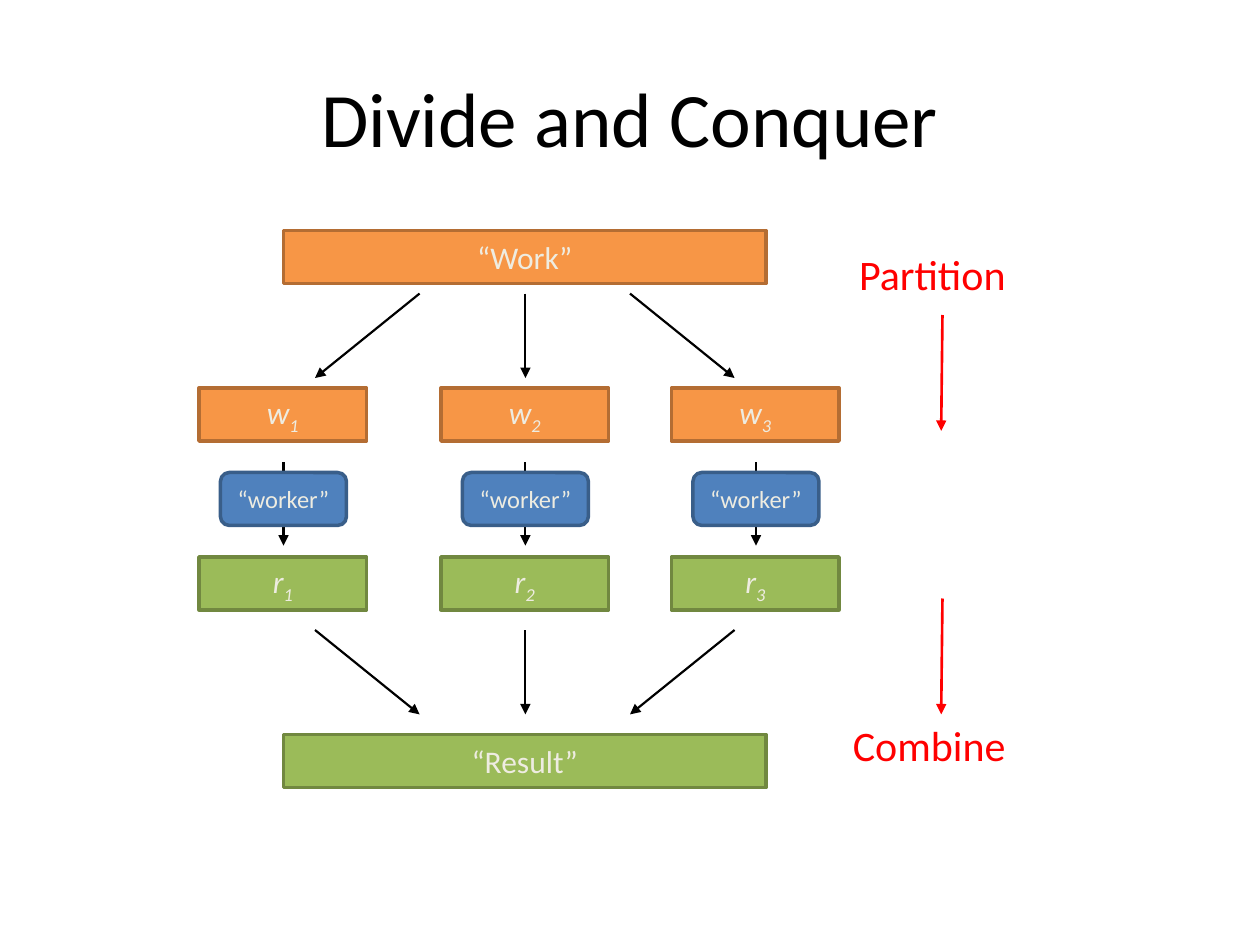
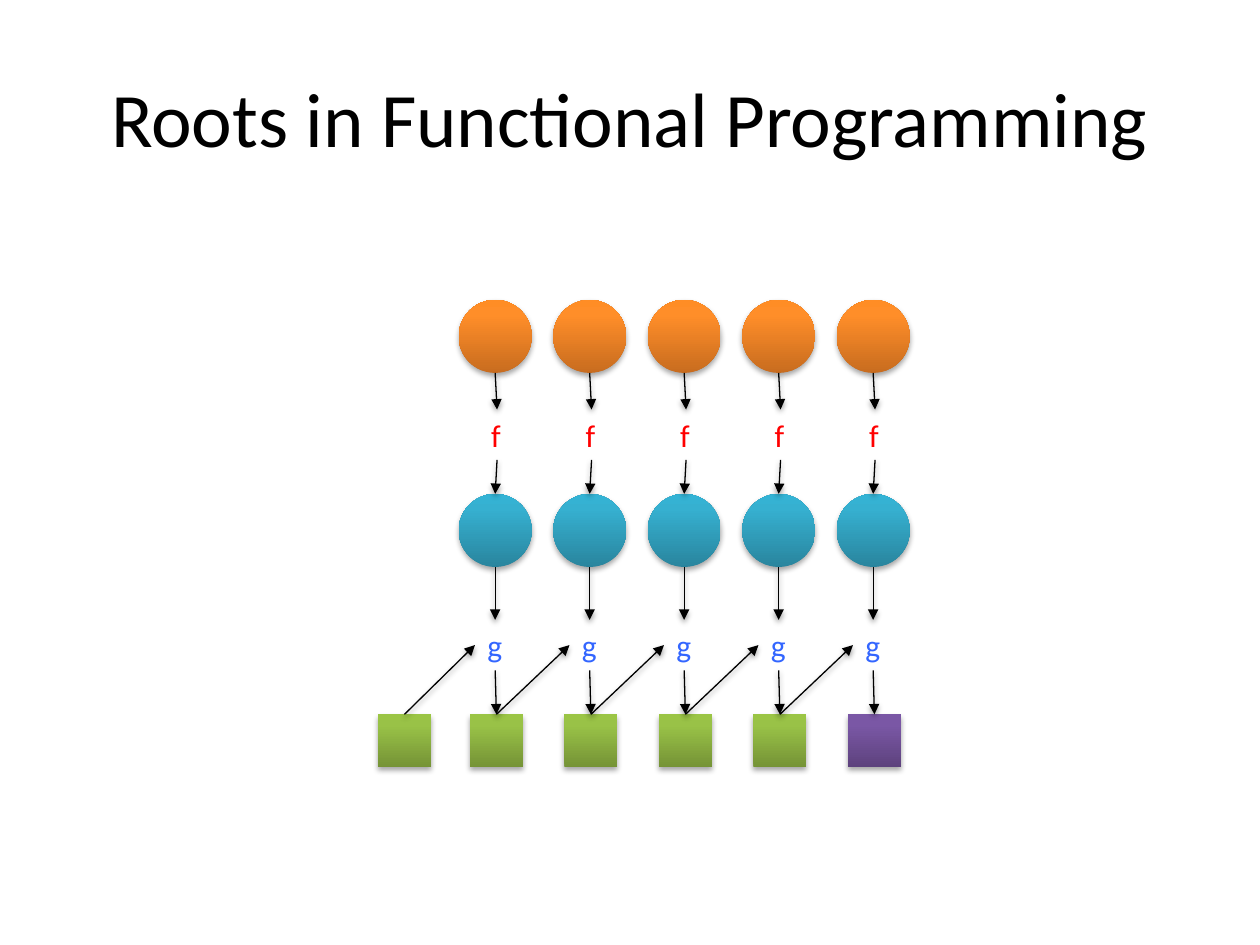
"""Build two slides on divide and conquer and its roots in functional programming."""
from lxml import etree
from pptx import Presentation
from pptx.dml.color import RGBColor
from pptx.enum.shapes import MSO_CONNECTOR, MSO_SHAPE
from pptx.enum.text import MSO_ANCHOR, PP_ALIGN
from pptx.oxml import parse_xml
from pptx.oxml.ns import nsdecls, qn
from pptx.util import Inches, Pt

RECT, ROUND, OVAL = MSO_SHAPE.RECTANGLE, MSO_SHAPE.ROUNDED_RECTANGLE, MSO_SHAPE.OVAL
STRAIGHT = MSO_CONNECTOR.STRAIGHT
MID, TOP = MSO_ANCHOR.MIDDLE, MSO_ANCHOR.TOP
LEFT, CENTER = PP_ALIGN.LEFT, PP_ALIGN.CENTER
NORTH, WEST, SOUTH = 0, 1, 2


class Theme:
    font = "Calibri"
    black, cream, red, blue = "000000", "EEECE1", "FF0000", "3366FF"
    work = ("F79646", "B46D33")
    result = ("9BBB59", "718840")
    worker = ("4F81BD", "395E89")
    orange = ("C86C1F", "FF8E29", "FF8D25")
    teal = ("29859E", "36B0D0", "33B3D5")
    green = ("759336", "99C247", "9BC545")
    purple = ("5D427D", "7A57A5", "7A56A7")
    stops = (0, 80000, 100000)
    title, label, body, small = 44, 24, 18, 14
    border, bold, thin, hair = 2, 1.5, 1.25, 0.75
    shade = ('<a:effectLst %s><a:outerShdw blurRad="40000" dist="%d" dir="5400000" '
             'rotWithShape="0"><a:srgbClr val="000000"><a:alpha val="%d"/>'
             '</a:srgbClr></a:outerShdw></a:effectLst>')


def put(slide, box, text="", kind=None, paint=None, size=Theme.body, color=Theme.cream,
        align=CENTER, anchor=MID, sub="", italic=False):
    area = [Inches(n) for n in box]
    if kind is None:
        shape = slide.shapes.add_textbox(*area)
    else:
        shape = slide.shapes.add_shape(kind, *area)
        shape.shadow.inherit = False
        props = shape._element.spPr
        if len(paint) == 2:
            shape.fill.solid()
            shape.fill.fore_color.rgb = RGBColor.from_string(paint[0])
            shape.line.color.rgb = RGBColor.from_string(paint[1])
            shape.line.width = Pt(Theme.border)
        else:
            shape.line.fill.background()
            stops = "".join(f'<a:gs pos="{pos}"><a:srgbClr val="{tint}"/></a:gs>'
                            for pos, tint in zip(Theme.stops, paint))
            props.find(qn("a:prstGeom")).addnext(parse_xml(
                f'<a:gradFill {nsdecls("a")} rotWithShape="1"><a:gsLst>{stops}</a:gsLst>'
                '<a:lin ang="16200000" scaled="0"/></a:gradFill>'))
            props.replace(props.find(qn("a:effectLst")),
                          parse_xml(Theme.shade % (nsdecls("a"), 23000, 35000)))
    frame = shape.text_frame
    frame.word_wrap = True
    frame.vertical_anchor = anchor
    para = frame.paragraphs[0]
    para.alignment = align
    for part in filter(None, (text, sub)):
        run = para.add_run()
        run.text = part
        run.font.name = Theme.font
        run.font.size = Pt(size)
        run.font.italic = italic
        run.font.color.rgb = RGBColor.from_string(color)
        if part == sub:
            run._r.get_or_add_rPr().set("baseline", "-25000")
    return shape


def link(slide, start, end, color=Theme.black, width=Theme.thin, shade=False):
    line = slide.shapes.add_connector(STRAIGHT, *(Inches(n) for n in (*start, *end)))
    line.line.color.rgb = RGBColor.from_string(color)
    line.line.width = Pt(width)
    props = line._element.spPr
    etree.SubElement(props.find(qn("a:ln")), qn("a:tailEnd"), type="triangle")
    if shade:
        props.append(parse_xml(Theme.shade % (nsdecls("a"), 20000, 38000)))
    else:
        etree.SubElement(props, qn("a:effectLst"))
    return line


deck = Presentation()
deck.slide_width, deck.slide_height = Inches(10), Inches(7.5)
pages = []
for name in ("Divide and Conquer", "Roots in Functional Programming"):
    page = deck.slides.add_slide(deck.slide_layouts[6])
    put(page, (0.5, 0.3, 9, 1.25), name, size=Theme.title, color=Theme.black)
    pages.append(page)
split, roots = pages

put(split, (2.25, 1.83, 3.83, 0.42), "“Work”", RECT, Theme.work)
put(split, (2.25, 5.83, 3.83, 0.42), "“Result”", RECT, Theme.result)
for num, mid in enumerate((2.25, 4.17, 6), 1):
    for text, top, paint in (("w", 3.08, Theme.work), ("r", 4.42, Theme.result)):
        put(split, (mid - 0.67, top, 1.33, 0.42), text, RECT, paint,
            sub=str(num), italic=True)
    link(split, (mid, 3.67), (mid, 4.33))
    put(split, (mid - 0.5, 3.75, 1, 0.42), "“worker”", ROUND, Theme.worker,
        size=Theme.small)
for near, far in ((3.33, 2.5), (4.17, 4.17), (5, 5.83)):
    link(split, (near, 2.33), (far, 3))
    link(split, (far, 5), (near, 5.67))
for text, box, top in (("Partition", (6.72, 1.92, 1.57, 0.51), 2.5),
                       ("Combine", (6.67, 5.66, 1.64, 0.51), 4.75)):
    put(split, box, text, size=Theme.label, color=Theme.red, align=LEFT, anchor=TOP)
    link(split, (7.48, top), (7.47, top + 0.92), Theme.red, Theme.bold)

count, step = 5, 0.75
thin = {"width": Theme.hair, "shade": True}
plain = {"align": LEFT, "anchor": TOP}
last = put(roots, (3, 5.67, 0.42, 0.42), kind=RECT, paint=Theme.green)
for col in range(count):
    mid = 3.93 + col * step
    for top, paint in ((2.38, Theme.orange), (3.92, Theme.teal)):
        put(roots, (mid - 0.29, top, 0.58, 0.58), kind=OVAL, paint=paint)
    tint = Theme.purple if col == count - 1 else Theme.green
    square = put(roots, (mid - 0.2, 5.67, 0.42, 0.42), kind=RECT, paint=tint)
    func = put(roots, (mid - 0.13, 3.25, 0.29, 0.4), "f", color=Theme.red, **plain)
    fold = put(roots, (mid - 0.16, 4.92, 0.32, 0.4), "g", color=Theme.blue, **plain)
    link(roots, (mid, 2.96), (mid, 3.25), **thin).end_connect(func, NORTH)
    link(roots, (mid, 3.66), (mid, 3.92), **thin).begin_connect(func, SOUTH)
    link(roots, (mid, 4.5), (mid, 4.92), **thin).end_connect(fold, NORTH)
    for source, side, target, goal in ((last, NORTH, fold, WEST),
                                       (fold, SOUTH, square, NORTH)):
        line = link(roots, (mid, 5.32), (mid, 5.67), **thin)
        line.begin_connect(source, side)
        line.end_connect(target, goal)
    last = square

deck.save("out.pptx")
